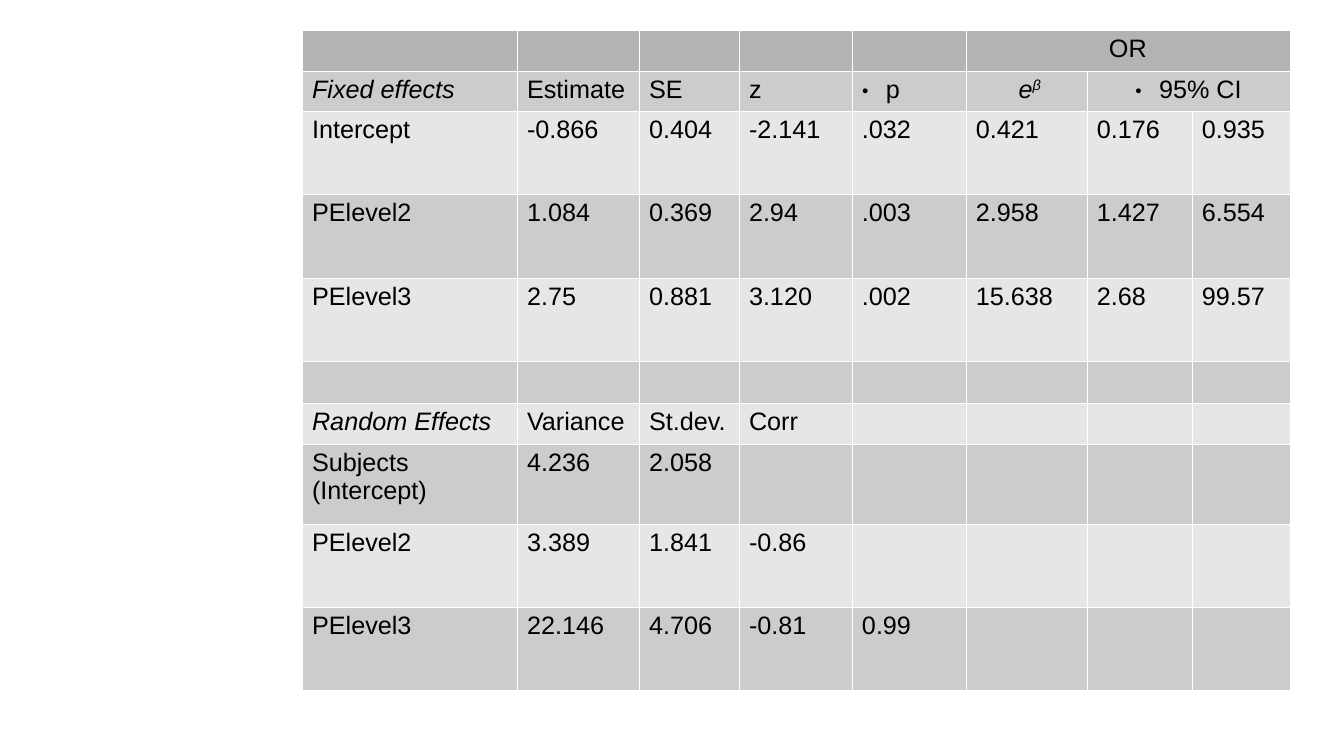
import lxml.etree
import pptx
import pptx.dml.color
import pptx.enum.text
import pptx.oxml.ns
import pptx.util

EMU_PER_PX = 914400 / 100.8
BLACK = pptx.dml.color.RGBColor(0x00, 0x00, 0x00)
HEADER_GREY = pptx.dml.color.RGBColor(0xB3, 0xB3, 0xB3)
DARK_GREY = pptx.dml.color.RGBColor(0xCC, 0xCC, 0xCC)
LIGHT_GREY = pptx.dml.color.RGBColor(0xE6, 0xE6, 0xE6)
WHITE = pptx.dml.color.RGBColor(0xFF, 0xFF, 0xFF)
BORDER_POINTS = 0.06
CENTER = pptx.enum.text.PP_ALIGN.CENTER

COLUMN_WIDTHS = [215, 122, 100, 113, 114, 121, 105, 98]
ROW_HEIGHTS = [41, 40, 83, 84, 83, 42, 40, 80, 83, 83]
MODEL_ROWS = [
    [],
    ["", "Estimate", "SE", "z"],
    ["Intercept", "-0.866", "0.404", "-2.141", ".032", "0.421", "0.176", "0.935"],
    ["PElevel2", "1.084", "0.369", "2.94", ".003", "2.958", "1.427", "6.554"],
    ["PElevel3", "2.75", "0.881", "3.120", ".002", "15.638", "2.68", "99.57"],
    [],
    ["", "Variance", "St.dev.", "Corr"],
    ["Subjects\n(Intercept)", "4.236", "2.058"],
    ["PElevel2", "3.389", "1.841", "-0.86"],
    ["PElevel3", "22.146", "4.706", "-0.81", "0.99"],
]


def px(length):
    return pptx.util.Emu(round(length * EMU_PER_PX))


def add_element(parent, tag, **attributes):
    element = lxml.etree.SubElement(parent, pptx.oxml.ns.qn(tag))
    for name, value in attributes.items():
        element.set(name, str(value))
    return element


def add_bullet(para):
    properties = para._p.get_or_add_pPr()
    properties.set("marL", str(px(24)))
    properties.set("indent", str(px(-24)))
    color = add_element(properties, "a:buClr")
    add_element(color, "a:srgbClr", val=BLACK)
    add_element(properties, "a:buSzPct", val=45000)
    add_element(properties, "a:buFont", typeface="Arial")
    add_element(properties, "a:buChar", char="●")


def add_span(para, text, italic=False, raised=False):
    span = para.add_run()
    span.text = text
    span.font.name = "Arial"
    span.font.size = pptx.util.Pt(18)
    span.font.color.rgb = BLACK
    span.font.italic = italic
    if raised:
        span.font._element.set("baseline", "33000")


def write_cell(cell, text, italic=False, align=None, bullet=False):
    for index, line in enumerate(text.split("\n")):
        frame = cell.text_frame
        para = frame.add_paragraph() if index else frame.paragraphs[0]
        if bullet:
            add_bullet(para)
        para.alignment = align
        add_span(para, line, italic)


def paint_cell(cell, color):
    properties = cell._tc.get_or_add_tcPr()
    for side in ("a:lnL", "a:lnR", "a:lnT", "a:lnB"):
        border = add_element(properties, side, w=pptx.util.Pt(BORDER_POINTS))
        fill = add_element(border, "a:solidFill")
        add_element(fill, "a:srgbClr", val=WHITE)
    cell.fill.solid()
    cell.fill.fore_color.rgb = color
    cell.margin_left = cell.margin_right = pptx.util.Inches(0.1)
    cell.margin_top = cell.margin_bottom = pptx.util.Inches(0.05)


def row_color(row):
    if row == 0:
        return HEADER_GREY
    return DARK_GREY if row % 2 else LIGHT_GREY


def add_model_table(page):
    frame = page.shapes.add_table(
        len(ROW_HEIGHTS), len(COLUMN_WIDTHS), px(302), px(30),
        px(sum(COLUMN_WIDTHS)), px(sum(ROW_HEIGHTS)))
    table = frame.table
    for column, width in zip(table.columns, COLUMN_WIDTHS):
        column.width = px(width)
    for row, height in zip(table.rows, ROW_HEIGHTS):
        row.height = px(height)
    for row, texts in enumerate(MODEL_ROWS):
        for column in range(len(COLUMN_WIDTHS)):
            paint_cell(table.cell(row, column), row_color(row))
        for column, text in enumerate(texts):
            if text:
                write_cell(table.cell(row, column), text)
    return table


def write_headings(table):
    table.cell(0, 5).merge(table.cell(0, 7))
    table.cell(1, 6).merge(table.cell(1, 7))
    write_cell(table.cell(0, 5), "OR", align=CENTER)
    write_cell(table.cell(1, 0), "Fixed effects", italic=True)
    write_cell(table.cell(6, 0), "Random Effects", italic=True)
    write_cell(table.cell(1, 4), "p", bullet=True)
    write_cell(table.cell(1, 6), "95% CI", align=CENTER, bullet=True)
    odds_cell = table.cell(1, 5)
    write_cell(odds_cell, " ", align=CENTER)
    odds_para = odds_cell.text_frame.paragraphs[0]
    add_span(odds_para, "e", italic=True)
    add_span(odds_para, "β", italic=True, raised=True)


def main():
    deck = pptx.Presentation()
    deck.slide_width = px(1344)
    deck.slide_height = px(756)
    page = deck.slides.add_slide(deck.slide_layouts[6])
    table = add_model_table(page)
    write_headings(table)
    deck.save("out.pptx")


if __name__ == "__main__":
    main()
